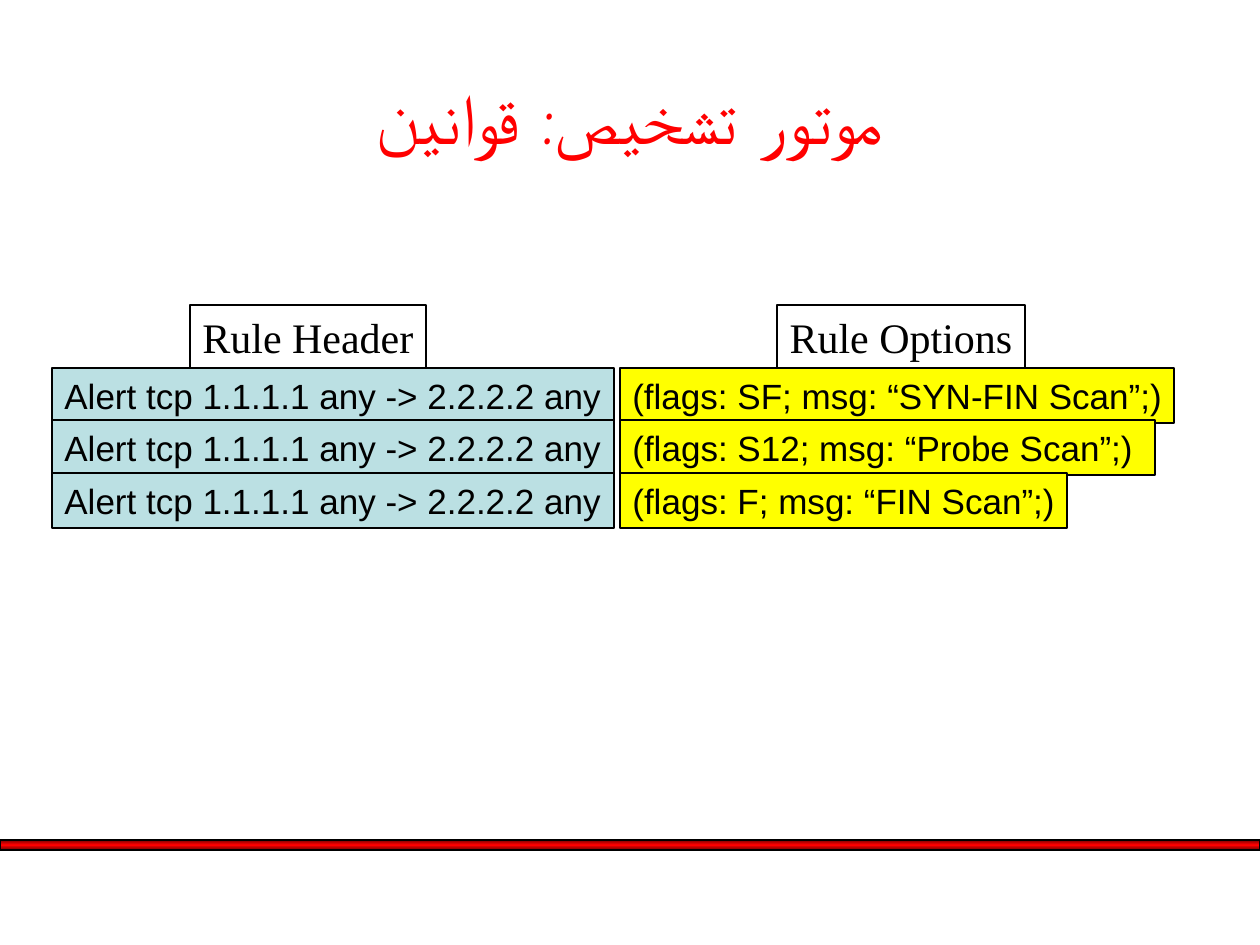
import copy

import lxml.etree
import pptx
import pptx.dml.color
import pptx.enum.shapes
import pptx.enum.text
import pptx.oxml.ns
import pptx.util

SCALE = 914400 / 126
COLORS = {"black": "000000", "red": "FF0000", "dark_red": "760000",
          "header": "BBE0E3", "options": "FFFF00"}
ROW_TOP, ROW_STEP, ROW_HEIGHT = 63, 52.5, 55
ALIGN = pptx.enum.text.PP_ALIGN


def px(value):
    return pptx.util.Emu(round(value * SCALE))


def rgb(name):
    return pptx.dml.color.RGBColor.from_string(COLORS[name])


def place(sp, left, top, width, height):
    sp.left, sp.top, sp.width, sp.height = map(px, (left, top, width, height))


def set_font(p, name, size, color):
    p.font.name = name
    p.font.size = pptx.util.Pt(size)
    p.font.color.rgb = rgb(color)


def add_box(slide, box, fill=None):
    sp = slide.shapes.add_shape(pptx.enum.shapes.MSO_SHAPE.RECTANGLE, *map(px, box))
    sp.shadow.inherit = False
    sp.line.color.rgb = rgb("black")
    sp.line.width = pptx.util.Pt(0.74)
    if fill:
        sp.fill.solid()
        sp.fill.fore_color.rgb = rgb(fill)
    else:
        sp.fill.background()
    return sp


def add_label(slide, box, text, font, size, fill=None, align=ALIGN.LEFT):
    tf = add_box(slide, box, fill).text_frame
    tf.word_wrap = False
    tf.vertical_anchor = pptx.enum.text.MSO_ANCHOR.TOP
    p = tf.paragraphs[0]
    p.text = text
    p.alignment = align
    set_font(p, font, size, "black")


def add_footer_bar(slide, box):
    sp = add_box(slide, box, "red")
    sp.fill.gradient()
    sp.fill.gradient_angle = 270
    first, last = sp.fill.gradient_stops
    first.position, last.position = 0, 1
    first.color.rgb = last.color.rgb = rgb("dark_red")
    start = sp._element.spPr.find(".//" + pptx.oxml.ns.qn("a:gs"))
    start.addnext(copy.deepcopy(start))
    middle = sp.fill.gradient_stops[1]
    middle.position = 0.5
    middle.color.rgb = rgb("red")


def set_title(slide, box, text):
    sp = slide.shapes.title
    place(sp, *box)
    tf = sp.text_frame
    tf.vertical_anchor = pptx.enum.text.MSO_ANCHOR.MIDDLE
    p = tf.paragraphs[0]
    p.text = text
    p.alignment = ALIGN.CENTER
    p.space_before, p.space_after = pptx.util.Pt(12), pptx.util.Pt(3)
    set_font(p, "Comic Neue", 40, "red")
    cs = lxml.etree.SubElement(p.font._element, pptx.oxml.ns.qn("a:cs"))
    cs.set("typeface", "Comic Neue")


def add_rule_column(slide, left, top, heading, heading_box, rules, fill):
    offset, width = heading_box
    add_label(slide, (left + offset, top, width, ROW_TOP), heading,
              "Times New Roman", 24, align=ALIGN.CENTER)
    for i, (text, rule_width) in enumerate(rules):
        row_top = top + ROW_TOP + int(i * ROW_STEP)
        add_label(slide, (left, row_top, rule_width, ROW_HEIGHT), text,
                  "Arial", 20, fill)


prs = pptx.Presentation()
prs.slide_width, prs.slide_height = px(1260), px(945)
slide = prs.slides.add_slide(prs.slide_layouts[5])

add_footer_bar(slide, (0, 840, 1260, 10))
add_rule_column(slide, 52, 305, "Rule Header", (138, 236),
                [("Alert tcp 1.1.1.1 any -> 2.2.2.2 any", 562)] * 3, "header")
add_rule_column(slide, 620, 305, "Rule Options", (157, 248),
                [("(flags: SF; msg: “SYN-FIN Scan”;)", 554),
                 ("(flags: S12; msg: “Probe Scan”;)", 535),
                 ("(flags: F; msg: “FIN Scan”;)", 447)], "options")
set_title(slide, (63, 38, 1134, 157), "موتور تشخیص: قوانین")

prs.save("out.pptx")
